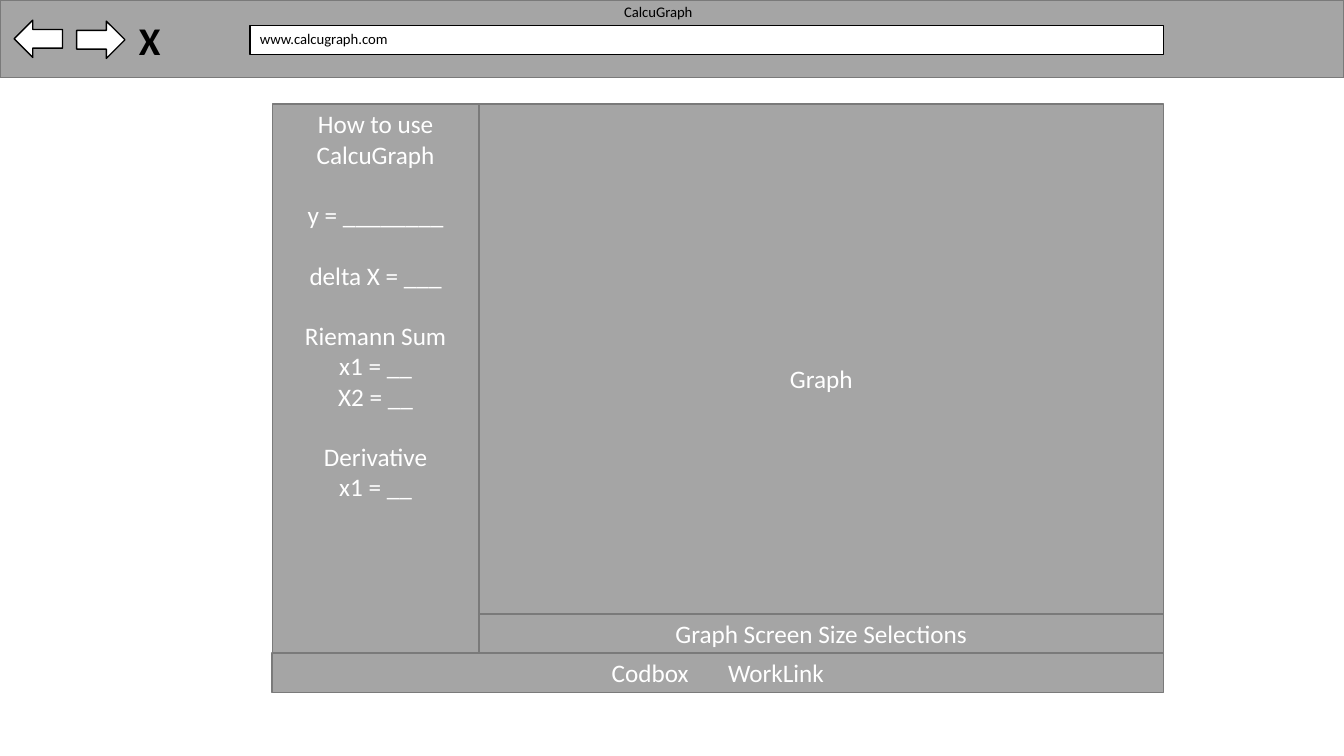
from pptx import Presentation
from pptx.dml.color import RGBColor
from pptx.enum import shapes, text
from pptx.util import Inches, Pt

COLORS = {"gray": "A5A5A5", "edge": "7A7A7A", "white": "FFFFFF", "black": "000000"}
FONT = "Calibri"
LINE_GAP = Pt(21.6)

# Wireframe columns and rows, in inches
LEFT, SPLIT, RIGHT = 2.7, 4.75, 11.54
TOP, FOOTER_TOP, BAR_HEIGHT = 1.03, 6.48, 0.39

# Side panel: each group is set off by one blank line's height
SIDE_GROUPS = [
    ["How to use CalcuGraph"],
    ["y = ________"],
    ["delta X = ___"],
    ["Riemann Sum", "x1 = __", "X2 = __"],
    ["Derivative", "x1 = __"],
]


def color(name):
    return RGBColor.from_string(COLORS[name])


def style_para(para, size, ink, align, bold=False):
    para.alignment = align
    para.font.name = FONT
    para.font.size = Pt(size)
    para.font.bold = bold
    para.font.color.rgb = color(ink)


def add_block(page, kind, left, top, width, height, fill, edge):
    block = page.shapes.add_shape(
        kind, Inches(left), Inches(top), Inches(width), Inches(height))
    block.shadow.inherit = False
    block.fill.solid()
    block.fill.fore_color.rgb = color(fill)
    block.line.color.rgb = color(edge)
    block.line.width = Pt(1)
    return block


def add_panel(page, left, top, right, bottom):
    return add_block(page, shapes.MSO_SHAPE.RECTANGLE, left, top,
                     right - left, bottom - top, "gray", "edge")


def write_label(box, words, size=18, ink="white", align=text.PP_ALIGN.CENTER,
                anchor=text.MSO_ANCHOR.MIDDLE, bold=False):
    frame = box.text_frame
    frame.word_wrap = True
    frame.auto_size = text.MSO_AUTO_SIZE.NONE
    frame.vertical_anchor = anchor
    frame.text = words
    style_para(frame.paragraphs[0], size, ink, align, bold)


def write_chrome(box, words, size=10.5, bold=False):
    write_label(box, words, size, "black", text.PP_ALIGN.LEFT,
                text.MSO_ANCHOR.TOP, bold)


def write_groups(box, groups):
    frame = box.text_frame
    frame.word_wrap = True
    frame.vertical_anchor = text.MSO_ANCHOR.TOP
    for group_index, lines in enumerate(groups):
        for line_index, line in enumerate(lines):
            first = group_index == line_index == 0
            para = frame.paragraphs[0] if first else frame.add_paragraph()
            para.text = line
            style_para(para, 18, "white", text.PP_ALIGN.CENTER)
            if group_index and line_index == 0:
                para.space_before = LINE_GAP


def write_links(box, first, second):
    """Set two links on one line, parted by a single widened space."""
    write_label(box, first)
    para = box.text_frame.paragraphs[0]
    gap = para.add_run()
    gap.text = " "
    gap._r.get_or_add_rPr().set("spc", "2400")
    para.add_run().text = second


def add_browser_bar(page):
    rectangle = shapes.MSO_SHAPE.RECTANGLE
    arrow = shapes.MSO_SHAPE.RIGHT_ARROW
    add_block(page, rectangle, 0, 0, 13.33, 0.77, "gray", "edge")
    address = add_block(page, rectangle, 2.48, 0.25, 9.06, 0.29, "white", "black")
    write_chrome(address, "www.calcugraph.com")

    # Navigation buttons
    add_block(page, arrow, 0.76, 0.21, 0.48, 0.37, "white", "black")
    back = add_block(page, arrow, 0.14, 0.2, 0.48, 0.37, "white", "black")
    back.rotation = 180
    close = page.shapes.add_textbox(
        Inches(1.28), Inches(0.11), Inches(0.47), Inches(0.57))
    write_chrome(close, "X", 28, bold=True)

    # Window title, brought in front of the bar
    title = page.shapes.title
    title.left, title.top = Inches(6.09), Inches(-0.02)
    title.width, title.height = Inches(1.14), Inches(0.28)
    write_chrome(title, "CalcuGraph")
    page.shapes._spTree.append(title._element)


def add_page_panels(page):
    graph = add_panel(page, SPLIT, TOP, RIGHT, FOOTER_TOP)
    write_label(graph, "Graph")
    footer = add_panel(page, LEFT, FOOTER_TOP, RIGHT, FOOTER_TOP + BAR_HEIGHT)
    write_links(footer, "Codbox", "WorkLink")
    side = add_panel(page, LEFT, TOP, SPLIT, FOOTER_TOP)
    write_groups(side, SIDE_GROUPS)
    sizes = add_panel(page, SPLIT, FOOTER_TOP - BAR_HEIGHT, RIGHT, FOOTER_TOP)
    write_label(sizes, "Graph Screen Size Selections")


def main():
    deck = Presentation()
    deck.slide_width, deck.slide_height = Inches(13.33), Inches(7.5)
    title_only = deck.slide_layouts[5]
    page = deck.slides.add_slide(title_only)
    add_browser_bar(page)
    add_page_panels(page)
    deck.save("out.pptx")


if __name__ == "__main__":
    main()
